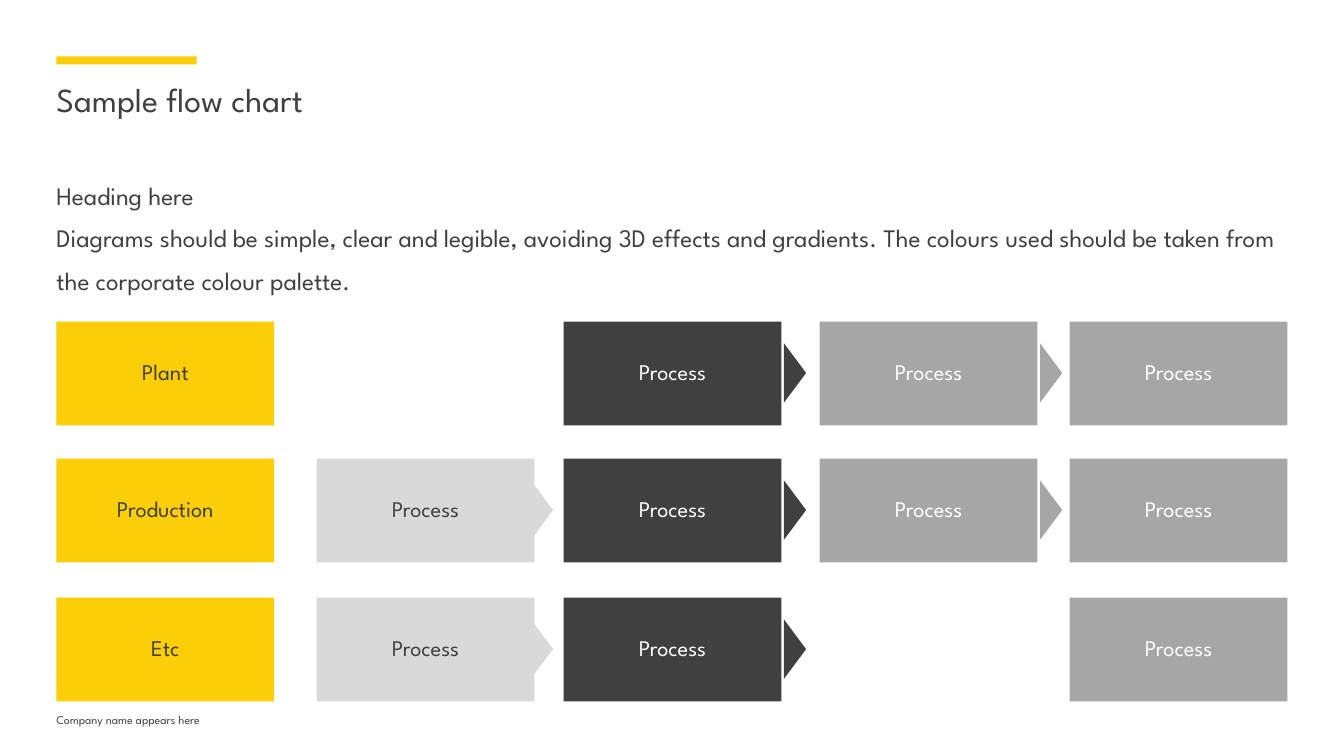
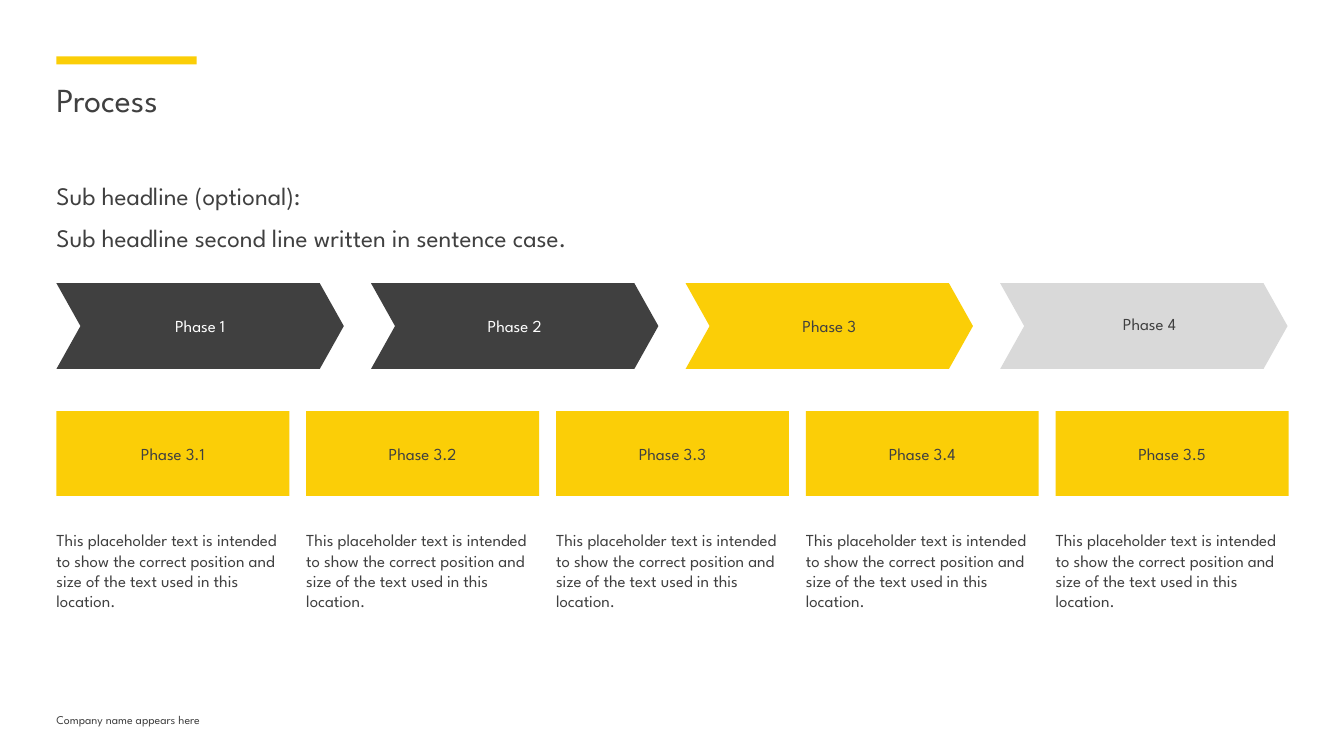
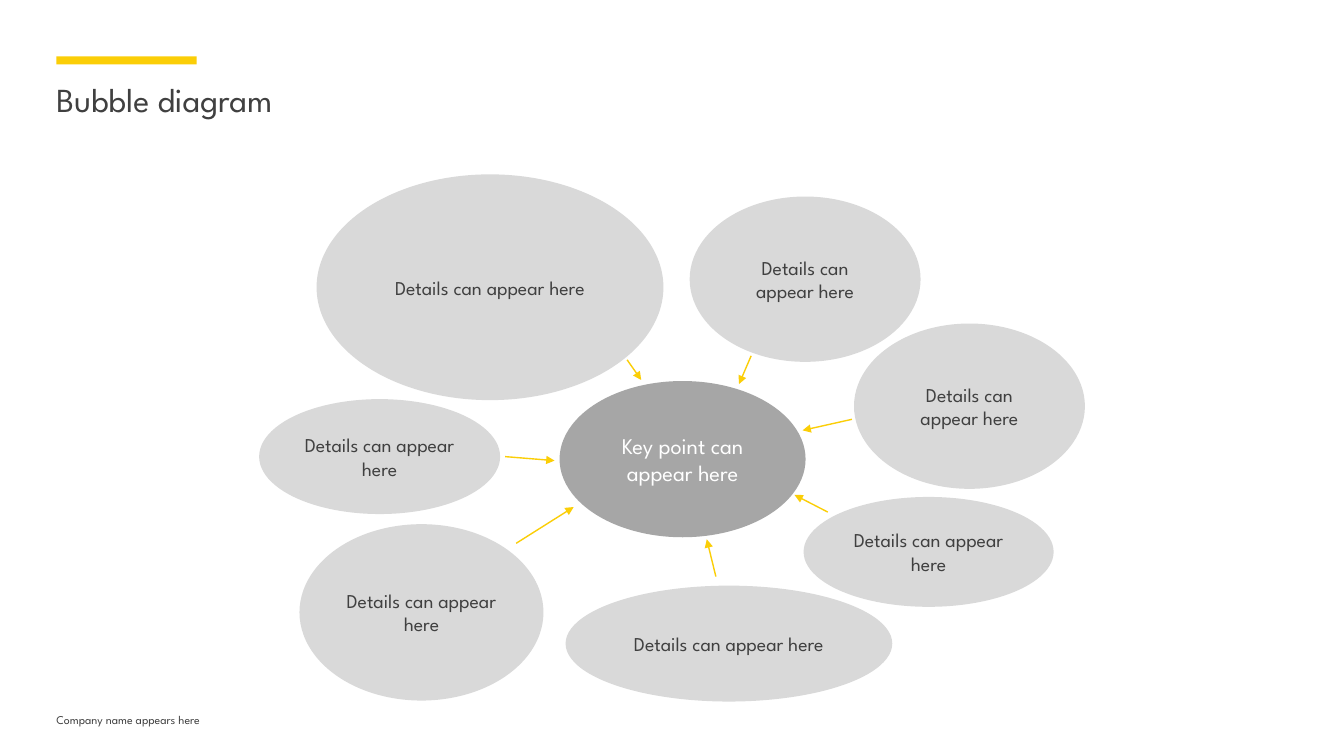
"""Build three diagram slides: flow chart, process and bubble diagram."""
import lxml.etree
import pptx
import pptx.dml.color
import pptx.enum.shapes
import pptx.enum.text
import pptx.oxml.ns
import pptx.util

Inches = pptx.util.Inches
Pt = pptx.util.Pt
RGB = pptx.dml.color.RGBColor
qn = pptx.oxml.ns.qn
SHAPE = pptx.enum.shapes.MSO_SHAPE
ALIGN = pptx.enum.text.PP_ALIGN
ANCHOR = pptx.enum.text.MSO_ANCHOR

FONT = "League Spartan"
COLORS = {
    "yellow": "FBCE07",
    "dark": "404040",
    "mid": "A6A6A6",
    "light": "D9D9D9",
    "white": "FFFFFF",
}
TEXT_ON = {"yellow": "dark", "dark": "white", "mid": "white", "light": "dark"}
MARGIN = 0.56
CONTENT_W = 12.22


def add_text(s, box, lines, size, insets=(0, 0, 0, 0), wrap=True, spacing=None):
    tf = s.shapes.add_textbox(*map(Inches, box)).text_frame
    tf.word_wrap = wrap
    tf.margin_left, tf.margin_top, tf.margin_right, tf.margin_bottom = map(Inches, insets)
    for i, line in enumerate(lines):
        p = tf.add_paragraph() if i else tf.paragraphs[0]
        p.line_spacing = spacing
        r = p.add_run()
        r.text = line
        r.font.name = FONT
        r.font.size = Pt(size)
        r.font.color.rgb = RGB.from_string(COLORS["dark"])


def add_block(s, kind, box, fill, text="", size=12, insets=(0.09, 0.04, 0.09, 0.04),
              wrap=True, spacing=None):
    sp = s.shapes.add_shape(kind, *map(Inches, box))
    sp.shadow.inherit = False
    sp.fill.solid()
    sp.fill.fore_color.rgb = RGB.from_string(COLORS[fill])
    sp.line.fill.background()
    if text:
        tf = sp.text_frame
        tf.word_wrap = wrap
        tf.vertical_anchor = ANCHOR.MIDDLE
        tf.margin_left, tf.margin_top, tf.margin_right, tf.margin_bottom = map(Inches, insets)
        p = tf.paragraphs[0]
        p.alignment = ALIGN.CENTER
        p.line_spacing = spacing
        r = p.add_run()
        r.text = text
        r.font.name = FONT
        r.font.size = Pt(size)
        r.font.color.rgb = RGB.from_string(COLORS[TEXT_ON[fill]])
    return sp


prs = pptx.Presentation()
prs.slide_width = Inches(13.33)
prs.slide_height = Inches(7.5)

pages = [
    ("Sample flow chart", [
        "Heading here",
        "Diagrams should be simple, clear and legible, avoiding 3D effects and gradients. "
        "The colours used should be taken from the corporate colour palette.",
    ]),
    ("Process", [
        "Sub headline (optional):",
        "Sub headline second line written in sentence case.",
    ]),
    ("Bubble diagram", []),
]
slides = []
for title, body in pages:
    s = prs.slides.add_slide(prs.slide_layouts[6])
    add_block(s, SHAPE.RECTANGLE, (MARGIN, 0.56, 1.39, 0.08), "yellow")
    add_text(s, (MARGIN, 7.07, 3.67, 0.26), ["Company name appears here"], 8.5,
             insets=(0, 0, 0, 0.05), wrap=False)
    add_text(s, (MARGIN, 0.78, CONTENT_W, 0.82), [title], 24)
    if body:
        add_text(s, (MARGIN, 1.67, CONTENT_W, 5.28), body, 18, spacing=1.4)
    slides.append(s)
flow, process, bubbles = slides

columns = [
    (MARGIN, "yellow", None),
    (3.14, "light", 5.08),
    (5.59, "dark", 7.59),
    (8.13, "mid", 10.13),
    (10.61, "mid", None),
]
rows = [
    (3.19, ["Plant", "", "Process", "Process", "Process"]),
    (4.55, ["Production", "Process", "Process", "Process", "Process"]),
    (5.93, ["Etc", "Process", "Process", "", "Process"]),
]
for top, labels in rows:
    for (left, fill, tip_left), label in zip(columns, labels):
        if not label:
            continue
        add_block(flow, SHAPE.RECTANGLE, (left, top, 2.16, 1.03), fill, label, 16,
                  wrap=False, spacing=Pt(16))
        if tip_left:
            tip = add_block(flow, SHAPE.ISOSCELES_TRIANGLE,
                            (tip_left, top + 0.4, 0.59, 0.22), fill)
            tip.rotation = 90

for i, fill in enumerate(["dark", "dark", "yellow", "light"]):
    is_last = fill == "light"
    insets = (0.21, 0.03, 0.1, 0.07) if is_last else (0.09, 0.04, 0.09, 0.04)
    phase = add_block(process, SHAPE.CHEVRON, (MARGIN + 3.12 * i, 2.81, 2.85, 0.85), fill,
                      f"Phase {i + 1}", insets=insets, wrap=is_last)
    phase.adjustments[0] = 0.28

step_w = 2.31
step_pitch = (CONTENT_W - step_w) / 4
for i in range(5):
    left = MARGIN + step_pitch * i
    add_block(process, SHAPE.RECTANGLE, (left, 4.08, step_w, 0.84), "yellow",
              f"Phase 3.{i + 1}", insets=(0.07, 0.07, 0.07, 0.07))
    add_text(process, (left, 5.26, step_w, 0.81),
             ["This placeholder text is intended to show the correct position "
              "and size of the text used in this location."], 12)

add_block(bubbles, SHAPE.OVAL, (5.55, 3.78, 2.44, 1.55), "mid",
          "Key point can appear here", 16)
details = [
    ((2.57, 3.96, 2.39, 1.14), (5.01, 4.53, 5.5, 4.57)),
    ((2.97, 5.2, 2.42, 1.75), (5.12, 5.39, 5.69, 5.03)),
    ((3.14, 1.73, 3.44, 2.24), (6.22, 3.57, 6.36, 3.77)),
    ((7.97, 4.93, 2.48, 1.09), (8.21, 5.08, 7.88, 4.91)),
    ((5.61, 5.81, 3.24, 1.15), (7.1, 5.72, 7.01, 5.35)),
    ((6.84, 1.95, 2.29, 1.64), (7.45, 3.53, 7.33, 3.81)),
    ((8.47, 3.21, 2.29, 1.64), (8.45, 4.16, 7.96, 4.27)),
]
for box, ends in details:
    add_block(bubbles, SHAPE.OVAL, box, "light", "Details can appear here", 14)
    arrow = bubbles.shapes.add_connector(
        pptx.enum.shapes.MSO_CONNECTOR.STRAIGHT, *map(Inches, ends))
    arrow.line.color.rgb = RGB.from_string(COLORS["yellow"])
    arrow.line.width = Pt(1)
    props = arrow.element.spPr
    lxml.etree.SubElement(props.find(qn("a:ln")), qn("a:tailEnd"), type="triangle")
    lxml.etree.SubElement(props, qn("a:effectLst"))

prs.save("out.pptx")
